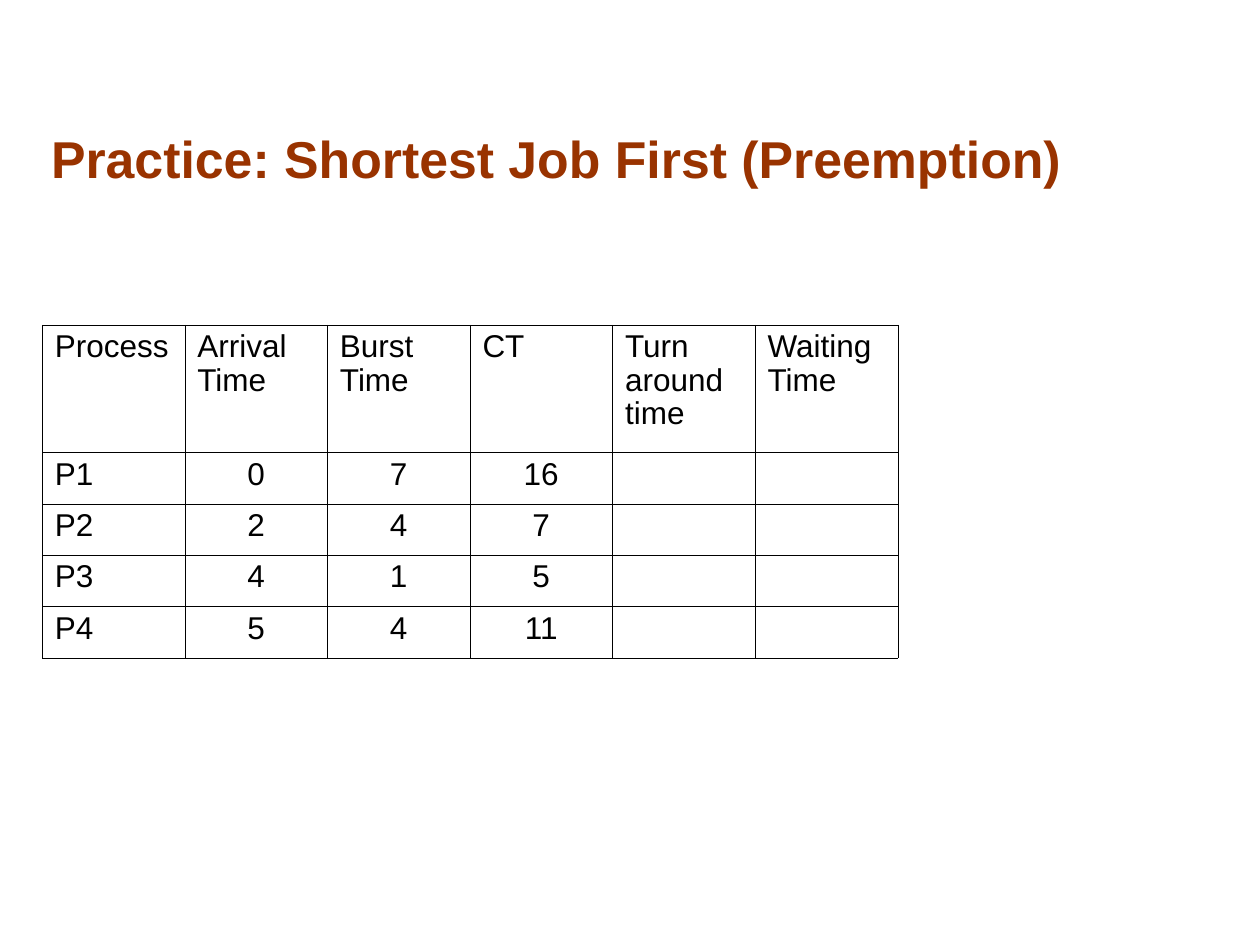
from dataclasses import dataclass

from lxml import etree
from pptx import Presentation
from pptx import util as u
from pptx.dml import color
from pptx.enum import text
from pptx.oxml import ns


@dataclass(frozen=True)
class Theme:
    font: str = "Arial"
    title_color: str = "993300"
    ink: str = "000000"
    title_size: float = 29.6
    body_size: float = 18
    line_spacing: float = 0.94
    border_width: float = 0.11


THEME = Theme()
WIDTH, HEIGHT = u.Inches(10), u.Inches(7.5)
TITLE = "Practice: Shortest Job First (Preemption)"
HEADINGS = ["Process", "Arrival Time", "Burst Time", "CT", "Turn around time", "Waiting Time"]
PROCESSES = [
    ["P1", "0", "7", "16"],
    ["P2", "2", "4", "7"],
    ["P3", "4", "1", "5"],
    ["P4", "5", "4", "11"],
]
HEADER_HEIGHT = u.Inches(1.01)


def region(left, top, width, height):
    """Turn percentages of the slide's size into a box."""
    return (int(WIDTH * left / 100), int(HEIGHT * top / 100),
            int(WIDTH * width / 100), int(HEIGHT * height / 100))


def style(font, size, rgb, bold=False):
    font.name = THEME.font
    font.size = u.Pt(size)
    font.bold = bold
    font.color.rgb = color.RGBColor.from_string(rgb)


def add_title(page, box):
    frame = page.shapes.add_textbox(*box).text_frame
    frame.word_wrap = True
    frame.vertical_anchor = text.MSO_ANCHOR.BOTTOM
    frame.text = TITLE
    para = frame.paragraphs[0]
    para.alignment = text.PP_ALIGN.CENTER
    style(para.runs[0].font, THEME.title_size, THEME.title_color, bold=True)


def add_borders(cell):
    properties = cell._tc.get_or_add_tcPr()
    for side in ("a:lnL", "a:lnR", "a:lnT", "a:lnB"):
        line = etree.SubElement(properties, ns.qn(side), w=str(u.Pt(THEME.border_width)))
        fill = etree.SubElement(line, ns.qn("a:solidFill"))
        etree.SubElement(fill, ns.qn("a:srgbClr"), val=THEME.ink)


def fill_cell(cell, words, centered):
    add_borders(cell)
    cell.fill.background()
    cell.text = words
    para = cell.text_frame.paragraphs[0]
    para.line_spacing = THEME.line_spacing
    para.alignment = text.PP_ALIGN.CENTER if centered else text.PP_ALIGN.LEFT
    for span in para.runs:
        style(span.font, THEME.body_size, THEME.ink)


def add_schedule(page, box):
    """Place the table: equal columns, a tall header and equal process rows."""
    rows = [HEADINGS] + PROCESSES
    table = page.shapes.add_table(len(rows), len(HEADINGS), *box).table
    table.first_row = table.horz_banding = False
    for column in table.columns:
        column.width = box[2] // len(HEADINGS)
    for index, row in enumerate(table.rows):
        row.height = (box[3] - HEADER_HEIGHT) // len(PROCESSES) if index else HEADER_HEIGHT
        words = rows[index] + [""] * (len(HEADINGS) - len(rows[index]))
        for position, cell in enumerate(row.cells):
            fill_cell(cell, words[position], centered=index > 0 and position > 0)


def main():
    deck = Presentation()
    deck.slide_width, deck.slide_height = WIDTH, HEIGHT
    page = deck.slides.add_slide(deck.slide_layouts[6])
    add_title(page, region(1.7, 5.6, 85, 15.07))
    add_schedule(page, region(3.35, 34.4, 67.9, 35.2))
    deck.save("out.pptx")


if __name__ == "__main__":
    main()
